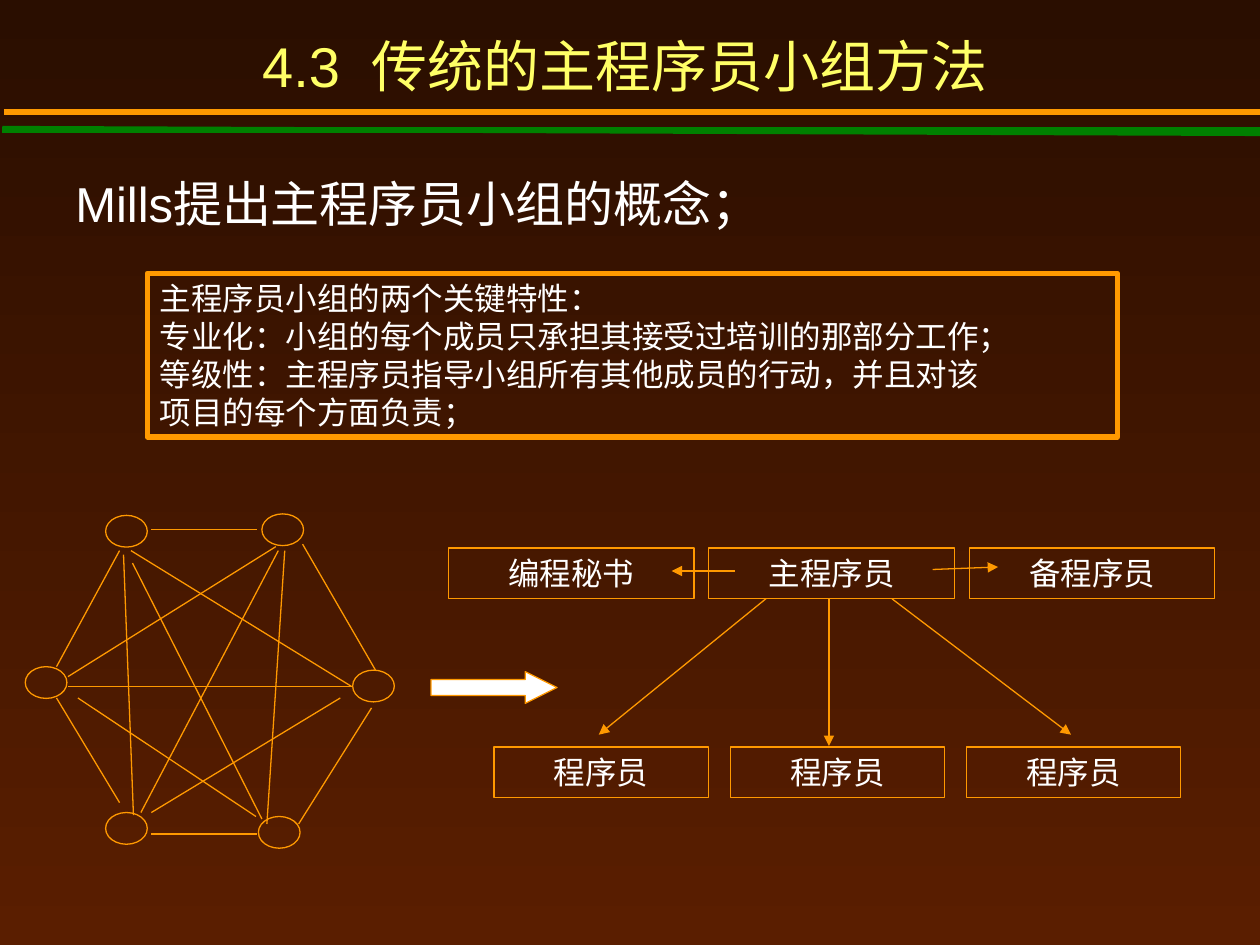
from lxml import etree
from pptx import Presentation
from pptx.dml.color import RGBColor
from pptx.enum.shapes import MSO_CONNECTOR, MSO_SHAPE
from pptx.enum.text import MSO_ANCHOR, MSO_AUTO_SIZE, PP_ALIGN
from pptx.oxml.ns import qn
from pptx.util import Cm, Pt

STRAIGHT = MSO_CONNECTOR.STRAIGHT
RECTANGLE, OVAL, RIGHT_ARROW = MSO_SHAPE.RECTANGLE, MSO_SHAPE.OVAL, MSO_SHAPE.RIGHT_ARROW
TOP, MIDDLE, BOTTOM = MSO_ANCHOR.TOP, MSO_ANCHOR.MIDDLE, MSO_ANCHOR.BOTTOM
LEFT, CENTER = PP_ALIGN.LEFT, PP_ALIGN.CENTER
NO_AUTOFIT = MSO_AUTO_SIZE.NONE

DARK_BROWN = RGBColor(0x2A, 0x0E, 0x00)
BROWN = RGBColor(0x5A, 0x1E, 0x00)
ORANGE = RGBColor(0xFF, 0x99, 0x00)
GREEN = RGBColor(0x00, 0x80, 0x00)
YELLOW = RGBColor(0xFF, 0xFF, 0x66)
WHITE = RGBColor(0xFF, 0xFF, 0xFF)
FONT = "Arial"
THIN, THICK = 0.75, 3

TITLE = "4.3  传统的主程序员小组方法"
CONCEPT = "Mills提出主程序员小组的概念；"
FEATURES = [
    "主程序员小组的两个关键特性：",
    "专业化：小组的每个成员只承担其接受过培训的那部分工作；",
    "等级性：主程序员指导小组所有其他成员的行动，并且对该",
    "项目的每个方面负责；",
]
TITLE_RULES = [
    ((0.05, 2.62, 25.48, 2.62), GREEN),
    ((0.05, 2.59, 25.45, 2.69), GREEN),
    ((0.08, 2.26, 25.48, 2.26), ORANGE),
]
MEMBER_LINKS = [
    (2.49, 11.18, 2.69, 16.43), (5.74, 11.1, 5.38, 16.61),
    (2.41, 11.1, 1.14, 13.44), (1.14, 14.07, 2.41, 16.18),
    (6.1, 10.97, 7.57, 13.51), (7.49, 14.27, 6.02, 16.61),
    (3.05, 10.67, 5.18, 10.67), (3.05, 16.81, 5.18, 16.81),
    (5.56, 11.02, 1.37, 13.64), (2.64, 11.1, 7.09, 13.84),
    (5.61, 11.1, 2.84, 16.38), (2.67, 11.35, 5.28, 16.51),
    (1.37, 13.84, 7.09, 13.84), (6.86, 14.07, 3.05, 16.38),
    (1.57, 14.07, 5.16, 16.46),
]
MEMBERS = [
    (7.11, 13.51), (5.28, 10.36), (0.51, 13.44),
    (2.13, 10.39), (2.13, 16.38), (5.21, 16.46),
]
TEAM_ROWS = [
    {"roles": ["编程秘书", "主程序员", "备程序员"],
     "left": 9.04, "top": 11.05, "width": 4.95, "pitch": 5.25},
    {"roles": ["程序员", "程序员", "程序员"],
     "left": 9.96, "top": 15.06, "width": 4.32, "pitch": 4.76},
]
ROLE_HEIGHT = 1.02
COMMANDS = [
    (14.81, 11.51, 13.54, 11.51), (18.8, 11.48, 20.12, 11.43),
    (15.44, 12.07, 12.07, 14.81), (17.98, 12.07, 21.59, 14.81),
    (16.71, 12.07, 16.71, 15.04),
]


def write(frame, lines, size, color, align=LEFT, anchor=TOP):
    frame.word_wrap = True
    frame.auto_size = NO_AUTOFIT
    frame.vertical_anchor = anchor
    frame.text = "\n".join(lines)
    for paragraph in frame.paragraphs:
        paragraph.alignment = align
        paragraph.font.name = FONT
        paragraph.font.size = Pt(size)
        paragraph.font.color.rgb = color


def add_line(slide, ends, color=ORANGE, width=THIN, arrow=False):
    line = slide.shapes.add_connector(STRAIGHT, *map(Cm, ends))
    line.line.color.rgb = color
    line.line.width = Pt(width)
    if arrow:
        etree.SubElement(line.line._get_or_add_ln(), qn("a:tailEnd"), type="triangle")
    etree.SubElement(line._element.spPr, qn("a:effectLst"))


def add_outline(slide, kind, left, top, width, height, weight=THIN):
    outline = slide.shapes.add_shape(kind, Cm(left), Cm(top), Cm(width), Cm(height))
    outline.shadow.inherit = False
    outline.fill.background()
    outline.line.color.rgb = ORANGE
    outline.line.width = Pt(weight)
    return outline


def add_heading(slide):
    title = slide.shapes.title
    title.left, title.top, title.width, title.height = Cm(0), Cm(0.84), Cm(25.2), Cm(1.27)
    write(title.text_frame, [TITLE], 32, YELLOW, CENTER, BOTTOM)
    for ends, color in TITLE_RULES:
        add_line(slide, ends, color, THICK)


def add_concept(slide):
    concept = slide.shapes.add_textbox(Cm(1.27), Cm(3.38), Cm(22.86), Cm(1.47))
    properties = concept.text_frame.paragraphs[0]._p.get_or_add_pPr()
    properties.set("marL", str(Cm(0.95)))
    properties.set("indent", str(-Cm(0.95)))
    bullet_color = etree.SubElement(properties, qn("a:buClr"))
    etree.SubElement(bullet_color, qn("a:srgbClr"), val=str(ORANGE))
    etree.SubElement(properties, qn("a:buSzPct"), val="70000")
    etree.SubElement(properties, qn("a:buChar"), char="●")
    write(concept.text_frame, [CONCEPT], 28, WHITE)


def add_network(slide):
    for ends in MEMBER_LINKS:
        add_line(slide, ends)
    for left, top in MEMBERS:
        add_outline(slide, OVAL, left, top, 0.84, 0.64)


def add_hierarchy(slide):
    for row in TEAM_ROWS:
        for column, role in enumerate(row["roles"]):
            left = row["left"] + column * row["pitch"]
            box = add_outline(slide, RECTANGLE, left, row["top"], row["width"], ROLE_HEIGHT)
            write(box.text_frame, [role], 18, WHITE, CENTER, MIDDLE)
    for ends in COMMANDS:
        add_line(slide, ends, arrow=True)


def main():
    presentation = Presentation()
    presentation.slide_width, presentation.slide_height = Cm(25.4), Cm(19.05)
    slide = presentation.slides.add_slide(presentation.slide_layouts[5])
    background = slide.background.fill
    background.gradient()
    background.gradient_angle = 270
    for stop, color in zip(background.gradient_stops, (DARK_BROWN, BROWN)):
        stop.color.rgb = color

    add_heading(slide)
    add_concept(slide)
    features = add_outline(slide, RECTANGLE, 2.97, 5.51, 19.56, 3.3, THICK)
    write(features.text_frame, FEATURES, 18, WHITE)
    add_network(slide)
    add_hierarchy(slide)
    transition = add_outline(slide, RIGHT_ARROW, 8.69, 13.54, 2.54, 0.64)
    transition.adjustments[0], transition.adjustments[1] = 0.5, 1
    transition.fill.solid()
    transition.fill.fore_color.rgb = WHITE
    presentation.save("out.pptx")


if __name__ == "__main__":
    main()
